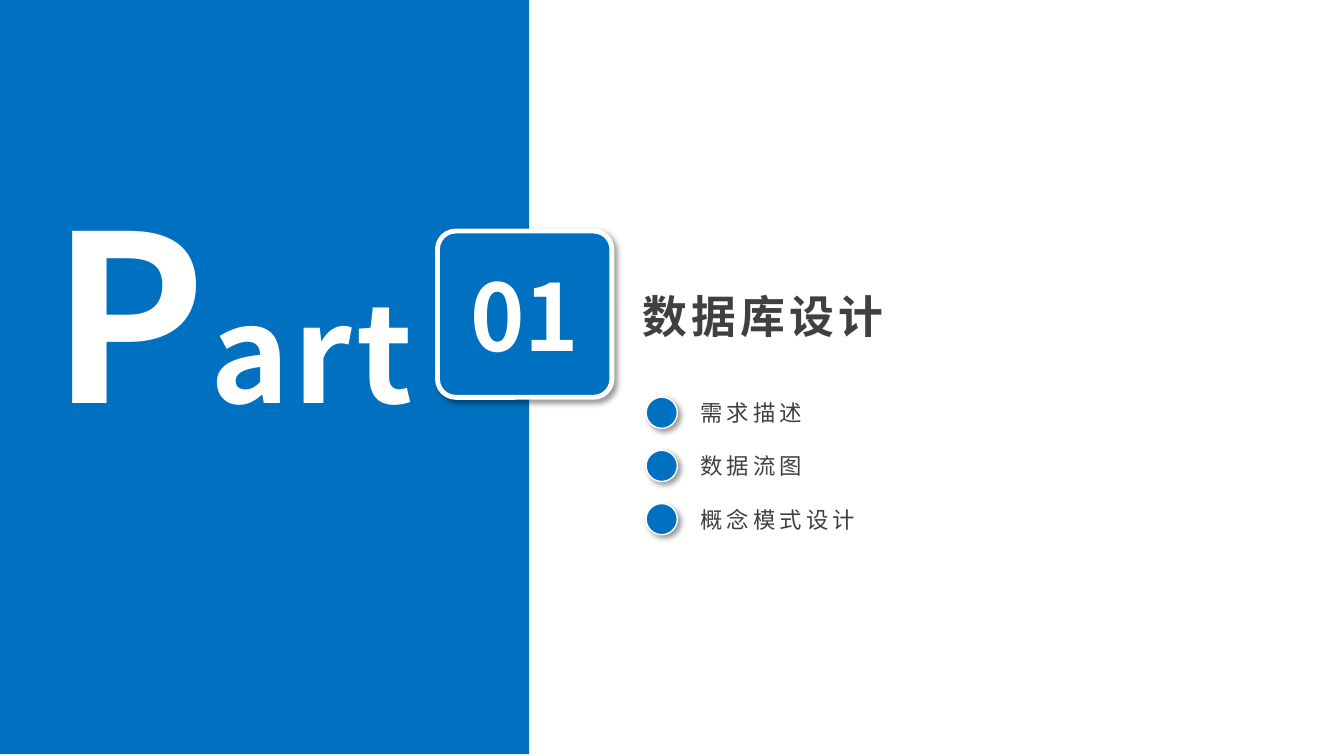
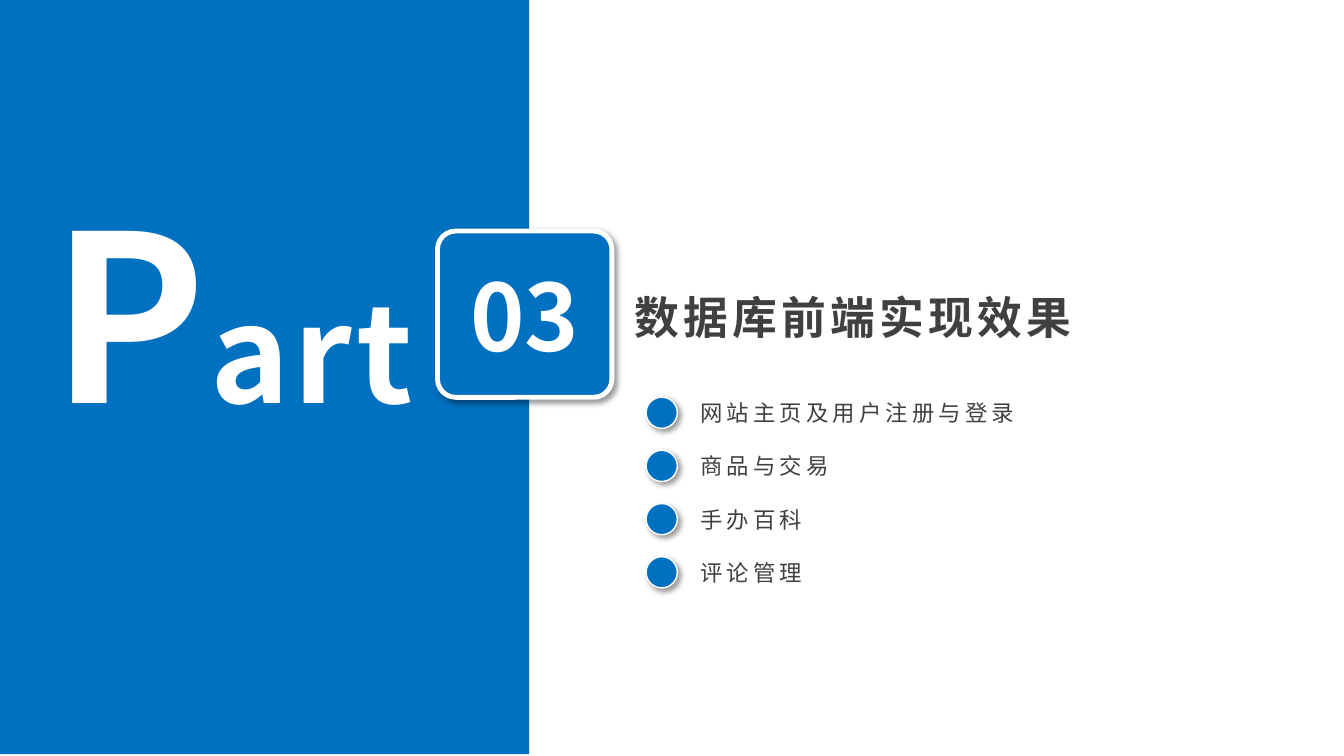
from lxml.etree import SubElement
from pptx import Presentation
from pptx.dml.color import RGBColor
from pptx.enum.shapes import MSO_SHAPE
from pptx.enum.text import MSO_ANCHOR, PP_ALIGN
from pptx.oxml.ns import qn
from pptx.util import Pt

FONT = "Noto Sans CJK SC"
COLORS = {"blue": "0070C0", "white": "FFFFFF", "dark": "404040", "black": "000000"}
WIDTH, HEIGHT = 960, 540
ROW_TOP, ROW_STEP, ROW_HEIGHT = 278.8, 38, 32
DOT = 22.3

SECTIONS = [
    {"num": "01", "title": "数据库设计", "at": (451.4, 198.4),
     "items": ["需求描述", "数据流图", "概念模式设计"]},
    {"num": "03", "title": "数据库前端实现效果", "at": (445.7, 199),
     "items": ["网站主页及用户注册与登录", "商品与交易", "手办百科", "评论管理"]},
]


def rgb(name):
    return RGBColor.from_string(COLORS[name])


def write(shape, text, size, color="dark", bold=False, space=0, align=PP_ALIGN.LEFT):
    """Add one run of text to the first paragraph of a shape."""
    frame = shape.text_frame
    frame.word_wrap = True
    frame.vertical_anchor = MSO_ANCHOR.MIDDLE
    para = frame.paragraphs[0]
    para.alignment = align
    run = para.add_run()
    run.text = text
    font = run.font
    font.size, font.bold, font.name = Pt(size), bold, FONT
    font.color.rgb = rgb(color)
    props = run._r.get_or_add_rPr()
    props.set("spc", str(space * 100))
    SubElement(props, qn("a:ea"), typeface=FONT)


def place(shape, left, top, width, height):
    shape.left, shape.top = Pt(left), Pt(top)
    shape.width, shape.height = Pt(width), Pt(height)


def add_box(slide, *area):
    return slide.shapes.add_textbox(*map(Pt, area))


def add_shade(shape):
    """Give a shape a soft shadow to the lower right."""
    effects = shape.element.spPr.find(qn("a:effectLst"))
    shade = SubElement(effects, qn("a:outerShdw"), blurRad=str(Pt(4)),
                       dist=str(Pt(3)), dir=str(45 * 60000), algn="tl", rotWithShape="0")
    black = SubElement(shade, qn("a:srgbClr"), val=COLORS["black"])
    SubElement(black, qn("a:alpha"), val="40000")


def add_shape(slide, kind, *area, line=0):
    """Draw a blue shape; an outlined one is white-edged and shaded."""
    shape = slide.shapes.add_shape(kind, *map(Pt, area))
    shape.shadow.inherit = False
    shape.fill.solid()
    shape.fill.fore_color.rgb = rgb("blue")
    if line:
        shape.line.color.rgb = rgb("white")
        shape.line.width = Pt(line)
        add_shade(shape)
    else:
        shape.line.fill.background()
    return shape


def add_part(slide, num):
    # Blue panel with the word and the numbered badge
    add_shape(slide, MSO_SHAPE.RECTANGLE, 0, 0, 378, HEIGHT - 1.4)
    word = add_box(slide, 0, 98, 332, 248)
    for text, size in (("P", 166), ("art", 96)):
        write(word, text, size, color="white", bold=True, space=3, align=PP_ALIGN.CENTER)
    badge = add_shape(slide, MSO_SHAPE.ROUNDED_RECTANGLE,
                      312.5, 165, 124.6, 118.8, line=3.5)
    badge.adjustments[0] = 0.11
    write(badge, num, 66, color="white", bold=True, align=PP_ALIGN.CENTER)


def add_items(slide, items):
    # Dotted list in equal rows
    for row, text in enumerate(items):
        top = ROW_TOP + row * ROW_STEP
        add_shape(slide, MSO_SHAPE.OVAL, 461.5, top + (ROW_HEIGHT - DOT) / 2,
                  DOT, DOT, line=1)
        write(add_box(slide, 493.2, top, 256, ROW_HEIGHT), text, 16, space=3)


def add_section(deck, num, title, at, items):
    slide = deck.slides.add_slide(deck.slide_layouts[5])
    place(slide.shapes.title, *at, 340, 54)
    write(slide.shapes.title, title, 32, bold=True, space=3)
    add_part(slide, num)
    add_items(slide, items)


def main():
    deck = Presentation()
    deck.slide_width, deck.slide_height = Pt(WIDTH), Pt(HEIGHT)
    for section in SECTIONS:
        add_section(deck, **section)
    deck.save("out.pptx")


if __name__ == "__main__":
    main()
